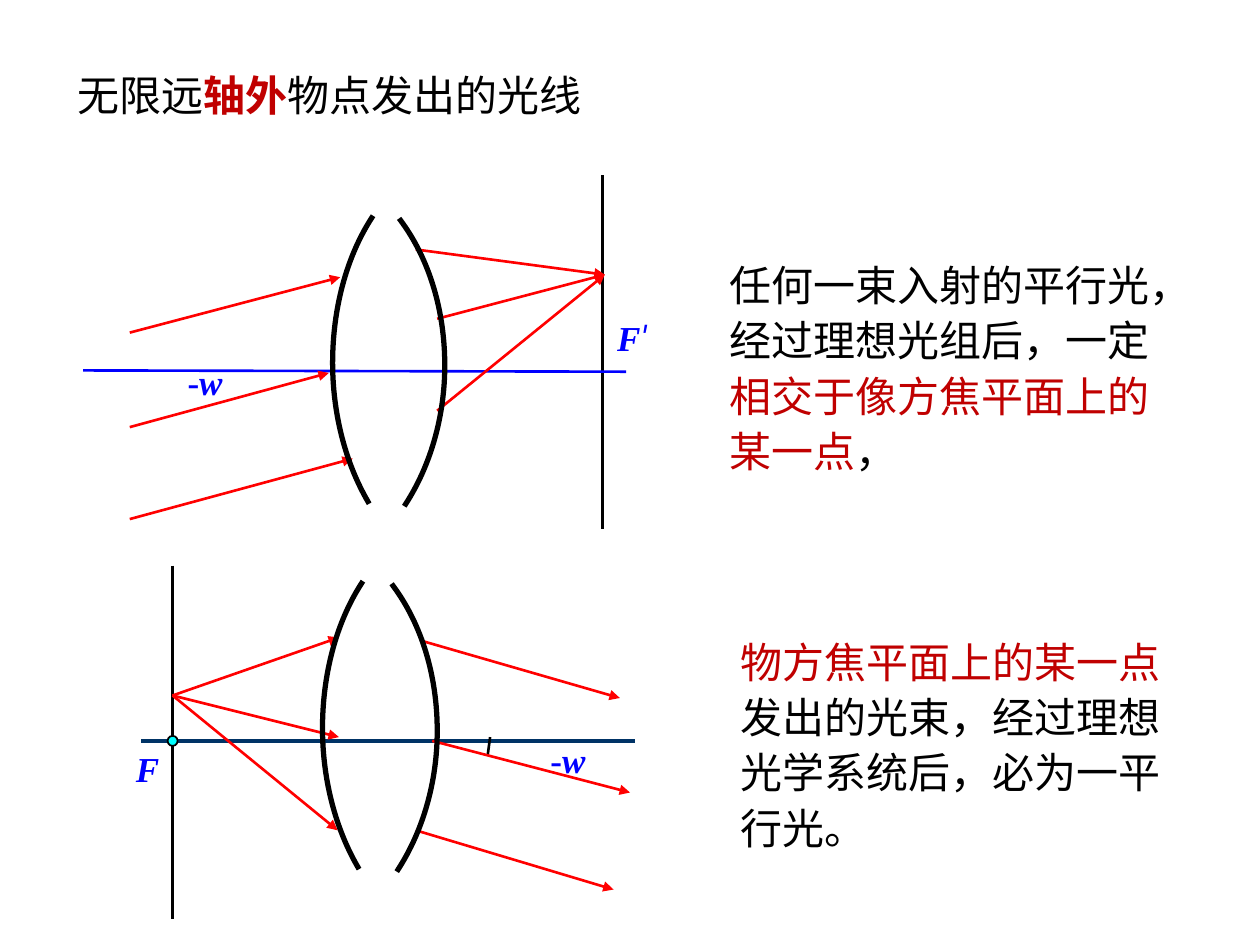
"""Build a slide on rays from off-axis points at infinity and in the focal plane."""
from lxml import etree
from pptx import Presentation
from pptx.dml.color import RGBColor
from pptx.enum.shapes import MSO_CONNECTOR, MSO_SHAPE
from pptx.enum.text import MSO_ANCHOR
from pptx.oxml.ns import qn
from pptx.util import Inches, Pt

COLORS = {"black": "000000", "accent": "C00000", "label": "0000FF",
          "ray": "FF0000", "axis": "003366", "focus": "00FFFF"}
CJK, SERIF, PRIME = "Noto Sans CJK SC", "Times New Roman", "Roboto"


def add_text(box, runs, size, spacing=1.0):
    shape = slide.shapes.add_textbox(*(Inches(value) for value in box))
    frame = shape.text_frame
    frame.word_wrap = True
    frame.vertical_anchor = MSO_ANCHOR.TOP
    paragraph = frame.paragraphs[0]
    paragraph.line_spacing = spacing
    for text, font, color, bold, italic in runs:
        run = paragraph.add_run()
        run.text = text
        run.font.name = font
        run.font.size = Pt(size)
        run.font.bold = bold
        run.font.italic = italic
        run.font.color.rgb = RGBColor.from_string(COLORS[color])
        east_asian = etree.SubElement(run.font._element, qn("a:ea"))
        east_asian.set("typeface", font)


def add_line(start, end, color, width=1.5, arrow=False):
    line = slide.shapes.add_connector(
        MSO_CONNECTOR.STRAIGHT, *(Inches(value) for value in (*start, *end)))
    line.line.color.rgb = RGBColor.from_string(COLORS[color])
    line.line.width = Pt(width)
    if arrow:
        tail = etree.SubElement(line.line._get_or_add_ln(), qn("a:tailEnd"))
        tail.set("type", "triangle")
    etree.SubElement(line._element.spPr, qn("a:effectLst"))


presentation = Presentation()
presentation.slide_width = Inches(10)
presentation.slide_height = Inches(7.5)
slide = presentation.slides.add_slide(presentation.slide_layouts[6])

add_text((0.52, 0.5, 4.84, 0.54), [
    ("无限远", CJK, "black", False, False),
    ("轴外", CJK, "accent", True, False),
    ("物点发出的光线", CJK, "black", False, False)], 24)
add_text((5.69, 1.97, 3.83, 1.88), [
    ("任何一束入射的平行光，经过理想光组后，一定", CJK, "black", False, False),
    ("相交于像方焦平面上的某一点", CJK, "accent", False, False),
    ("，", CJK, "black", False, False)], 24, 1.1)
add_text((5.78, 4.96, 3.83, 1.88), [
    ("物方焦平面上的某一点", CJK, "accent", False, False),
    ("发出的光束，经过理想光学系统后，必为一平行光。", CJK, "black", False, False)],
    24, 1.1)

add_line((4.78, 1.39), (4.78, 4.2), "black")
add_line((0.66, 2.94), (4.97, 2.95), "label")
add_line((1.37, 4.49), (1.37, 7.29), "black")
add_line((1.12, 5.88), (5.04, 5.88), "axis", 2.25)
add_line((3.89, 5.85), (3.87, 6), "black")

image_point, object_point = (4.8, 2.18), (1.37, 5.52)
rays = [((1.03, 2.64), (2.7, 2.2)), ((1.03, 3.39), (2.61, 2.96)),
        ((1.03, 4.12), (2.8, 3.64)), ((3.36, 5.09), (4.92, 5.54)),
        ((3.43, 5.88), (5, 6.29)), ((3.3, 6.59), (4.87, 7.06))]
rays += [(start, image_point) for start in ((3.3, 1.98), (3.47, 2.53), (3.47, 3.26))]
rays += [(object_point, end) for end in ((2.69, 5.06), (2.69, 5.85), (2.68, 6.59))]
for start, end in rays:
    add_line(start, end, "ray", arrow=True)

focus = slide.shapes.add_shape(
    MSO_SHAPE.OVAL, Inches(1.33), Inches(5.84), Inches(0.08), Inches(0.08))
focus.shadow.inherit = False
focus.fill.solid()
focus.fill.fore_color.rgb = RGBColor.from_string(COLORS["focus"])
focus.line.color.rgb = RGBColor.from_string(COLORS["black"])
focus.line.width = Pt(1)

left_surface = [(0.31, 0), (0.11, 0.31), (0, 0.72), (0, 1.15),
                (0, 1.55), (0.1, 1.94), (0.28, 2.25), (1.17, 1.15)]
right_surface = [(0, 0), (0.23, 0.31), (0.35, 0.72), (0.35, 1.15),
                 (0.35, 1.55), (0.24, 1.94), (0.04, 2.25), (-0.93, 1.15)]
for left, top, surface in ((2.64, 1.73, left_surface), (3.18, 1.75, right_surface),
                           (2.56, 4.63, left_surface), (3.12, 4.65, right_surface)):
    points = [(Inches(left + x), Inches(top + y)) for x, y in surface]
    builder = slide.shapes.build_freeform(*points[0])
    builder.add_line_segments([points[3], points[6], points[7]], close=True)
    arc = builder.convert_to_shape()
    arc.shadow.inherit = False
    arc.fill.background()
    arc.line.color.rgb = RGBColor.from_string(COLORS["black"])
    arc.line.width = Pt(3)
    arc.line._get_or_add_ln().set("cap", "sq")

    path_list = next(arc._element.iter(qn("a:pathLst")))
    path_list.clear()
    curve = [("moveTo", points[:1]), ("cubicBezTo", points[1:4]),
             ("cubicBezTo", points[4:7])]
    sector = curve + [("lnTo", points[7:]), ("lnTo", points[:1]), ("close", [])]
    for commands, hidden in ((curve, "fill"), (sector, "stroke")):
        path = etree.SubElement(path_list, qn("a:path"))
        path.set("w", str(arc.width))
        path.set("h", str(arc.height))
        path.set(hidden, "none" if hidden == "fill" else "0")
        for command, targets in commands:
            segment = etree.SubElement(path, qn(f"a:{command}"))
            for x, y in targets:
                point = etree.SubElement(segment, qn("a:pt"))
                point.set("x", str(x - arc.left))
                point.set("y", str(y - arc.top))

for left, top in ((1.39, 2.81), (4.27, 5.81)):
    add_text((left, top, 0.58, 0.43), [
        ("-", SERIF, "label", True, False), ("w", SERIF, "label", True, True)], 20)
add_text((4.8, 2.46, 0.58, 0.43), [
    ("F", SERIF, "label", True, True), ("'", PRIME, "label", False, True)], 20)
add_text((0.98, 5.88, 0.53, 0.43), [("F", SERIF, "label", True, True)], 20)

presentation.save("out.pptx")
